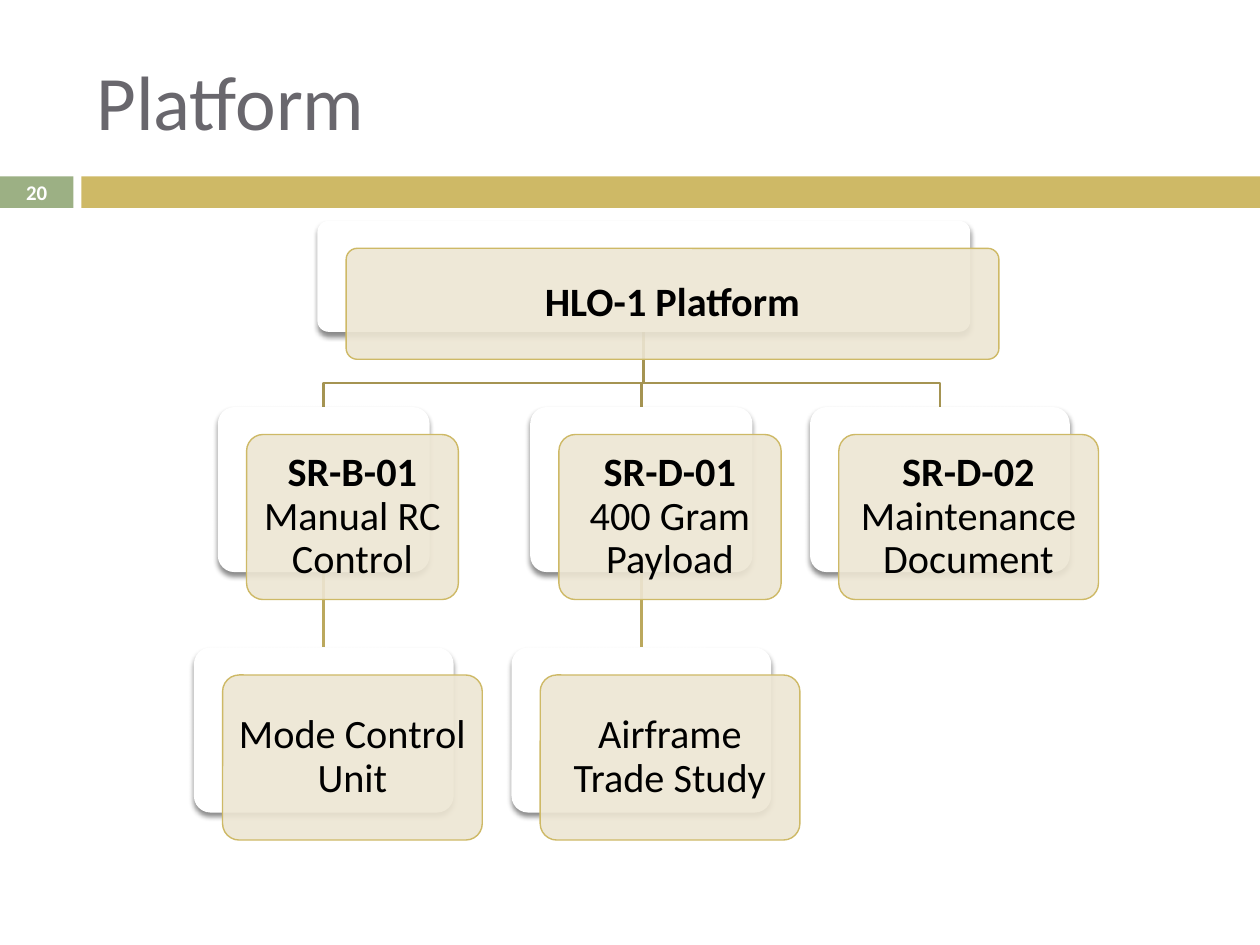
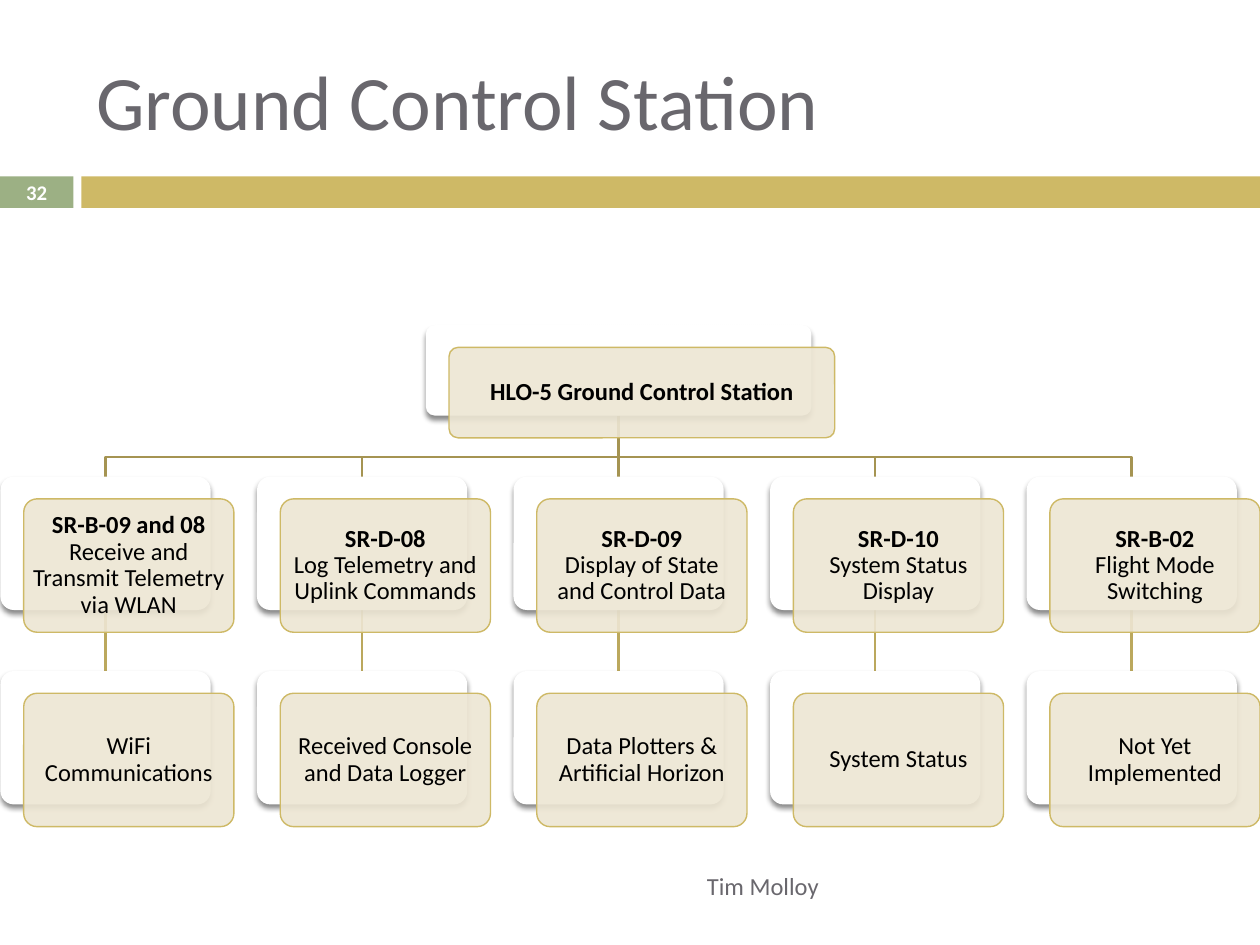
import pptx
import pptx.dml.color
import pptx.enum.shapes
import pptx.enum.text
import pptx.oxml
import pptx.oxml.ns
import pptx.util
from collections import namedtuple
from lxml import etree

Pt = pptx.util.Pt
RGBColor = pptx.dml.color.RGBColor
Preset = pptx.enum.shapes.MSO_SHAPE
Align = pptx.enum.text.PP_ALIGN
MIDDLE = pptx.enum.text.MSO_ANCHOR.MIDDLE
qn = pptx.oxml.ns.qn

GREEN = RGBColor(0x9C, 0xB0, 0x84)
GOLD = RGBColor(0xCE, 0xB9, 0x66)
CREAM = RGBColor(0xED, 0xE6, 0xD3)
UPPER_LINE = RGBColor(0xA5, 0x94, 0x52)
LOWER_LINE = RGBColor(0xBB, 0xA8, 0x5D)
GREY = RGBColor(0x69, 0x67, 0x6D)
WHITE = RGBColor(0xFF, 0xFF, 0xFF)
BLACK = RGBColor(0, 0, 0)

FONT = "Calibri"
SLIDE_SIZE = (720, 540)
BUS_SHARE = 0.68

Box = namedtuple("Box", "left top width height")
Branch = namedtuple("Branch", "centre width code duty solution")
Layout = namedtuple(
    "Layout", "box root_height duty_top solution_top card_height "
              "solution_width offset inset size")

PLATFORM = Layout(Box(111, 126.2, 520, 354), 63.4, 106.4, 243.8, 94.3,
                  148.4, (16.4, 15.7), 4.4, 23)
PLATFORM_ROOT = Branch(256.9, 373, "HLO-1 Platform", "", "")
PLATFORM_BRANCHES = [
    Branch(74, 121, "SR-B-01", "Manual RC Control", "Mode Control Unit"),
    Branch(255.5, 127, "SR-D-01", "400 Gram Payload", "Airframe Trade Study"),
    Branch(426.1, 148.4, "SR-D-02", "Maintenance Document", ""),
]

STATION = Layout(Box(0.2, 185.8, 719.8, 287), 51.7, 86.6, 197.7, 76.2,
                 120.1, (13.3, 12.7), 2, 14)
STATION_DUTIES = [
    ("SR-B-09 and 08", "Receive and Transmit Telemetry via WLAN",
     "WiFi Communications"),
    ("SR-D-08", "Log Telemetry and Uplink Commands",
     "Received Console and Data Logger"),
    ("SR-D-09", "Display of State and Control Data",
     "Data Plotters & Artificial Horizon"),
    ("SR-D-10", "System Status Display", "System Status"),
    ("SR-B-02", "Flight Mode Switching", "Not Yet Implemented"),
]
STATION_BRANCHES = [Branch(60.1 + 146.6 * column, 120.1, *duty)
                    for column, duty in enumerate(STATION_DUTIES)]
STATION_ROOT = Branch(STATION_BRANCHES[2].centre, 220.4,
                      "HLO-5 Ground Control Station", "", "")


def apply(target, values):
    for name, value in values.items():
        setattr(target, name, value)


def write(frame, runs, size, color, align, inset=None, spacing=1.0):
    apply(frame, {"word_wrap": True, "vertical_anchor": MIDDLE})
    if inset is not None:
        sides = ("left", "top", "right", "bottom")
        apply(frame, {f"margin_{side}": Pt(inset) for side in sides})
    paragraph = frame.paragraphs[0]
    apply(paragraph, {"alignment": align, "line_spacing": spacing})
    for position, (wording, bold) in enumerate(runs):
        if position:
            paragraph.add_line_break()
        run = paragraph.add_run()
        run.text = wording
        apply(run.font, {"name": FONT, "size": Pt(size), "bold": bold})
        run.font.color.rgb = color


def add_label(slide, box, wording, size, align):
    label = slide.shapes.add_textbox(*map(Pt, box))
    write(label.text_frame, [(wording, False)], size, GREY, align)


def add_panel(slide, preset, box, fill, line=None):
    panel = slide.shapes.add_shape(preset, *map(Pt, box))
    panel.shadow.inherit = False
    panel.fill.solid()
    panel.fill.fore_color.rgb = fill
    if line is None:
        panel.line.fill.background()
    else:
        panel.line.color.rgb = line
        panel.line.width = Pt(0.79)
    if preset == Preset.ROUNDED_RECTANGLE:
        panel.adjustments[0] = 0.1
    return panel


def set_alpha(color_element, percent):
    etree.SubElement(color_element, qn("a:alpha"), val=str(percent * 1000))


def cast_shadow(panel):
    effects = panel._element.spPr.find(qn("a:effectLst"))
    shadow = etree.SubElement(
        effects, qn("a:outerShdw"), blurRad=str(Pt(3)), dist=str(Pt(2.4)),
        dir="5400000", rotWithShape="0")
    set_alpha(etree.SubElement(shadow, qn("a:srgbClr"), val="000000"), 45)


def add_card(slide, box, layout, runs):
    back = add_panel(slide, Preset.ROUNDED_RECTANGLE, box, WHITE)
    cast_shadow(back)
    shift_x, shift_y = layout.offset
    front_box = box._replace(left=box.left + shift_x, top=box.top + shift_y)
    front = add_panel(slide, Preset.ROUNDED_RECTANGLE, front_box, CREAM, GOLD)
    set_alpha(front._element.spPr.find(qn("a:solidFill"))[0], 90)
    write(front.text_frame, runs, layout.size, BLACK, Align.CENTER,
          layout.inset, 0.9)


def add_link(slide, start, end, color):
    (start_x, start_y), (end_x, end_y) = start, end
    if start_x == end_x:
        link = slide.shapes.add_connector(
            pptx.enum.shapes.MSO_CONNECTOR.STRAIGHT,
            *map(Pt, (start_x, start_y, end_x, end_y)))
        etree.SubElement(link._element.spPr, qn("a:effectLst"))
    else:
        bus_y = start_y + BUS_SHARE * (end_y - start_y)
        corners = [(start_x, bus_y), (end_x, bus_y), end]
        outline = slide.shapes.build_freeform(Pt(start_x), Pt(start_y))
        outline.add_line_segments(
            [(Pt(x), Pt(y)) for x, y in corners], close=False)
        link = outline.convert_to_shape()
        link.shadow.inherit = False
        link.fill.background()
    link.line.color.rgb = color
    link.line.width = Pt(1.5)


def add_org_chart(slide, layout, root, branches):
    left, top = layout.box.left, layout.box.top
    duty_top = top + layout.duty_top
    solution_top = top + layout.solution_top

    def centred(centre, card_top, width, height):
        return Box(left + centre - width / 2, card_top, width, height)

    for branch in branches:
        x = left + branch.centre
        add_link(slide, (left + root.centre, top + layout.root_height),
                 (x, duty_top), UPPER_LINE)
        if branch.solution:
            add_link(slide, (x, duty_top + layout.card_height),
                     (x, solution_top), LOWER_LINE)

    add_card(slide, centred(root.centre, top, root.width, layout.root_height),
             layout, [(root.code, True)])
    for branch in branches:
        add_card(slide, centred(branch.centre, duty_top, branch.width,
                                layout.card_height),
                 layout, [(branch.code, True), (branch.duty, False)])
        if branch.solution:
            add_card(slide, centred(branch.centre, solution_top,
                                    layout.solution_width, layout.card_height),
                     layout, [(branch.solution, False)])


def add_header(slide, box, title, number):
    band_top = box.top + 100.8
    number_band = add_panel(slide, Preset.RECTANGLE,
                            Box(box.left, band_top, 42, 18), GREEN)
    write(number_band.text_frame, [(number, True)], 11.9, WHITE,
          Align.CENTER, 0)
    add_panel(slide, Preset.RECTANGLE,
              Box(box.left + 46.5, band_top, box.width - 46.5, 18), GOLD)
    add_label(slide, Box(box.left + 48, box.top + 18, 642, 78), title, 44,
              Align.LEFT)


def add_chart_slide(deck, title, number, layout, root, branches):
    slide = deck.slides.add_slide(deck.slide_layouts[6])
    add_header(slide, Box(0, 0, SLIDE_SIZE[0], 119), title, number)
    add_org_chart(slide, layout, root, branches)
    return slide


def main():
    deck = pptx.Presentation()
    apply(deck, dict(zip(("slide_width", "slide_height"),
                         map(Pt, SLIDE_SIZE))))
    add_chart_slide(deck, "Platform", "20", PLATFORM, PLATFORM_ROOT,
                    PLATFORM_BRANCHES)
    station = add_chart_slide(deck, "Ground Control Station", "32", STATION,
                              STATION_ROOT, STATION_BRANCHES)
    add_label(station, Box(48, 492, 427, 28.8), "Tim Molloy", 14, Align.RIGHT)
    deck.save("out.pptx")


if __name__ == "__main__":
    main()
